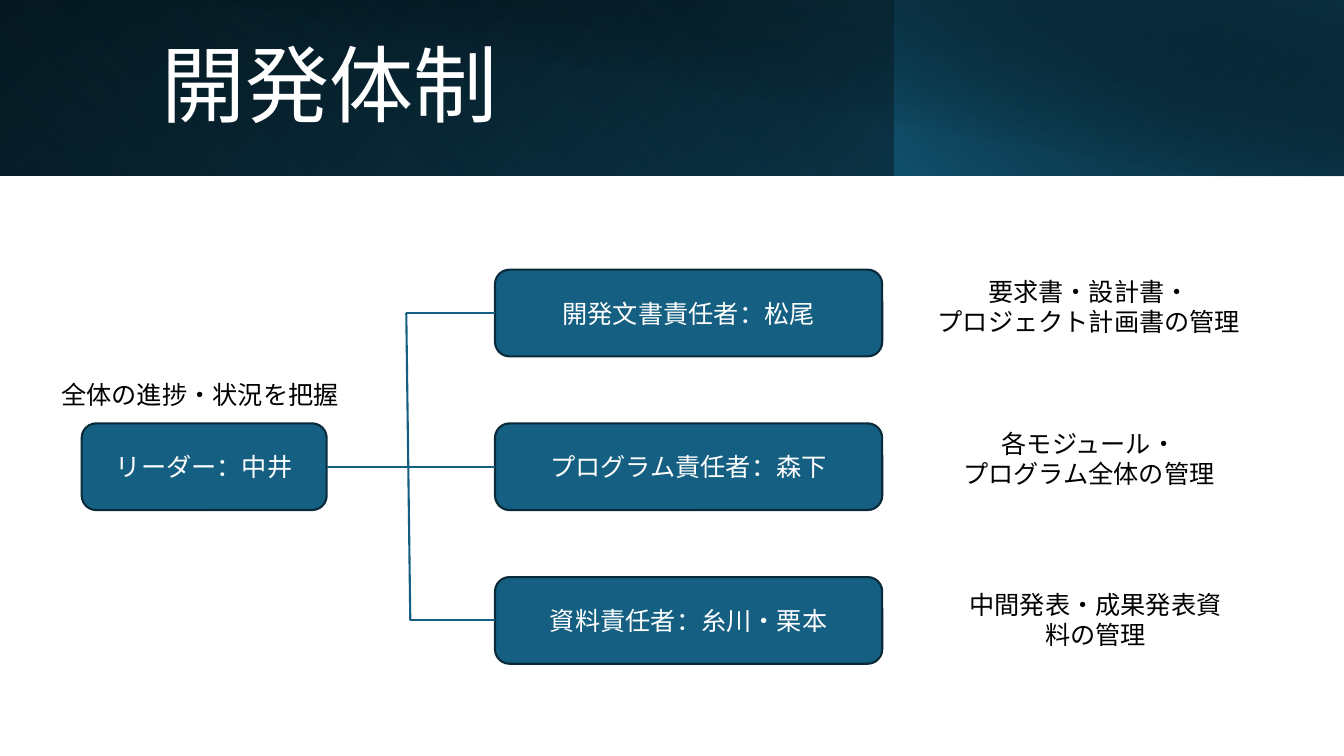
"""Build the development team slide: a header band and a leader-to-roles chart."""
from dataclasses import dataclass
from typing import Any, Optional

from lxml.etree import SubElement
from pptx import Presentation
from pptx.dml.color import RGBColor
from pptx.enum.shapes import MSO_CONNECTOR, MSO_SHAPE
from pptx.enum.text import MSO_ANCHOR, MSO_AUTO_SIZE, PP_ALIGN
from pptx.oxml.ns import qn
from pptx.util import Inches, Pt


@dataclass(frozen=True)
class Theme:
    """Colours, font and sizes of the slide."""
    font: str = "Noto Sans CJK JP"
    white: str = "FFFFFF"
    black: str = "000000"
    accent: str = "156082"
    edge: str = "092A39"
    deep: str = "104862"
    navy: str = "0B3041"
    title: int = 60
    body: int = 18
    line: float = 1.5


@dataclass(frozen=True)
class Area:
    """A rectangle in percent of the slide's width and height."""
    x: float
    y: float
    w: float
    h: float


@dataclass(frozen=True)
class Stop:
    """A gradient stop; position and opacity are percentages."""
    pos: int
    color: str
    alpha: int = 100


@dataclass(frozen=True)
class Band:
    """A gradient rectangle of the header."""
    area: Area
    stops: tuple[Stop, Stop]
    angle: int
    flip: bool = True
    rotation: int = 0


@dataclass(frozen=True)
class Role:
    """A role's box label and the note beside it."""
    label: str
    note: str
    note_area: Area


T = Theme()
WIDTH, HEIGHT = Inches(13.33), Inches(7.5)
BAND_H, BOX_H, NOTE_H = 23.2, 11.47, 9.47
ROLE_X, ROLE_W = 36.83, 28.81
FIRST_Y, PITCH = 35.67, 20.33
MIDDLE = 1
LEADER_Y = FIRST_Y + MIDDLE * PITCH
TRUNK_TOP, TRUNK_BOTTOM = 30.23, 30.53

BANDS = (
    Band(Area(0, 0, 100, BAND_H), (Stop(0, T.black), Stop(100, T.deep)), 140),
    Band(Area(0, 0, 66.6, BAND_H), (Stop(20, T.accent, 0), Stop(100, T.navy, 55)), 230, rotation=180),
    Band(Area(66.54, 0, 33.46, BAND_H), (Stop(0, T.accent, 66), Stop(100, T.black, 30)), 220),
    Band(Area(3.75, 0, 96.25, 23.33), (Stop(50, T.black, 0), Stop(99, T.navy, 52)), 280, flip=False),
)
ROLES = (
    Role("開発文書責任者：松尾", "要求書・設計書・\nプロジェクト計画書の管理", Area(67.59, 35.87, 26.86, NOTE_H)),
    Role("プログラム責任者：森下", "各モジュール・\nプログラム全体の管理", Area(68.57, 56, 24.91, NOTE_H)),
    Role("資料責任者：糸川・栗本", "中間発表・成果発表資料の管理", Area(70.82, 77.33, 21.38, NOTE_H)),
)
CENTER = {"alignment": PP_ALIGN.CENTER}
NOTE_FRAME = {"auto_size": MSO_AUTO_SIZE.SHAPE_TO_FIT_TEXT}
MIDDLE_FRAME = {"vertical_anchor": MSO_ANCHOR.MIDDLE}


def across(x: float) -> int:
    """Turn a share of the width into a length."""
    return round(WIDTH * x / 100)


def down(y: float) -> int:
    """Turn a share of the height into a length."""
    return round(HEIGHT * y / 100)


def place(a: Area) -> tuple[int, int, int, int]:
    """Return left, top, width and height of an area."""
    return across(a.x), down(a.y), across(a.w), down(a.h)


def assign(obj: Any, fmt: dict[str, Any]) -> None:
    """Set each format value on an object."""
    for name, value in fmt.items():
        setattr(obj, name, value)


def write(sp: Any, text: str, size: int, color: str, frame: dict[str, Any], para: dict[str, Any]) -> None:
    """Write one paragraph per line of text."""
    tf = sp.text_frame
    assign(tf, {"word_wrap": True, **frame})
    for i, line in enumerate(text.split("\n")):
        p = tf.add_paragraph() if i else tf.paragraphs[0]
        assign(p, para)
        r = p.add_run()
        r.text = line
        assign(r.font, {"name": T.font, "size": Pt(size)})
        r.font.color.rgb = RGBColor.from_string(color)
        SubElement(r.font._element, qn("a:ea"), typeface=T.font)


def add_text(s: Any, area: Area, text: str, size: int, color: str,
             frame: dict[str, Any], para: dict[str, Any]) -> None:
    """Add a text box."""
    write(s.shapes.add_textbox(*place(area)), text, size, color, frame, para)


def add_band(s: Any, band: Band) -> None:
    """Add a header rectangle with a gradient of varying opacity."""
    sp = s.shapes.add_shape(MSO_SHAPE.RECTANGLE, *place(band.area))
    sp.shadow.inherit = False
    sp.line.fill.background()
    sp.rotation = band.rotation
    if band.flip:
        sp._element.spPr.xfrm.set("flipH", "1")
    sp.fill.gradient()
    grad = sp._element.spPr.find(qn("a:gradFill"))
    for child in list(grad):
        grad.remove(child)
    stops = SubElement(grad, qn("a:gsLst"))
    for stop in band.stops:
        gs = SubElement(stops, qn("a:gs"), pos=str(stop.pos * 1000))
        clr = SubElement(gs, qn("a:srgbClr"), val=stop.color)
        SubElement(clr, qn("a:alpha"), val=str(stop.alpha * 1000))
    SubElement(grad, qn("a:lin"), ang=str(band.angle * 60000), scaled="0")


def add_box(s: Any, area: Area, text: str) -> Any:
    """Add a rounded box with a centred label."""
    sp = s.shapes.add_shape(MSO_SHAPE.ROUNDED_RECTANGLE, *place(area))
    sp.shadow.inherit = False
    sp.fill.solid()
    sp.fill.fore_color.rgb = RGBColor.from_string(T.accent)
    sp.line.color.rgb = RGBColor.from_string(T.edge)
    sp.line.width = Pt(T.line)
    write(sp, text, T.body, T.white, MIDDLE_FRAME, CENTER)
    return sp


def add_line(s: Any, start: tuple[float, float], end: tuple[float, float],
             begin_box: Optional[Any] = None, end_box: Optional[Any] = None) -> None:
    """Add a line, joined to a right side at its start or a left side at its end."""
    cx = s.shapes.add_connector(MSO_CONNECTOR.STRAIGHT, across(start[0]), down(start[1]),
                                across(end[0]), down(end[1]))
    cx.line.color.rgb = RGBColor.from_string(T.accent)
    cx.line.width = Pt(T.line)
    SubElement(cx._element.spPr, qn("a:effectLst"))
    if begin_box is not None:
        cx.begin_connect(begin_box, 3)
    if end_box is not None:
        cx.end_connect(end_box, 1)


def main() -> None:
    """Draw the slide and save it."""
    prs = Presentation()
    assign(prs, {"slide_width": WIDTH, "slide_height": HEIGHT})
    s = prs.slides.add_slide(prs.slide_layouts[6])
    for band in BANDS:
        add_band(s, band)
    add_text(s, Area(11.25, 4.27, 81.17, 15.07), "開発体制", T.title, T.white,
             MIDDLE_FRAME, {"line_spacing": 0.9})

    leader_area = Area(6.08, LEADER_Y, 18.23, BOX_H)
    leader = add_box(s, leader_area, "リーダー：中井")
    add_text(s, Area(3.83, 49.47, 26.48, 5.33), "全体の進捗・状況を把握", T.body, T.black, NOTE_FRAME, {})

    starts = ((TRUNK_TOP, None), (leader_area.x + leader_area.w, leader), (TRUNK_BOTTOM, None))
    mids = [FIRST_Y + i * PITCH + BOX_H / 2 for i in range(len(ROLES))]
    for role, mid, (x, begin_box) in zip(ROLES, mids, starts):
        box = add_box(s, Area(ROLE_X, mid - BOX_H / 2, ROLE_W, BOX_H), role.label)
        add_text(s, role.note_area, role.note, T.body, T.black, NOTE_FRAME, CENTER)
        add_line(s, (x, mid), (ROLE_X, mid), begin_box, box)
    add_line(s, (TRUNK_TOP, mids[0]), (TRUNK_BOTTOM, mids[-1]))
    prs.save("out.pptx")


if __name__ == "__main__":
    main()
